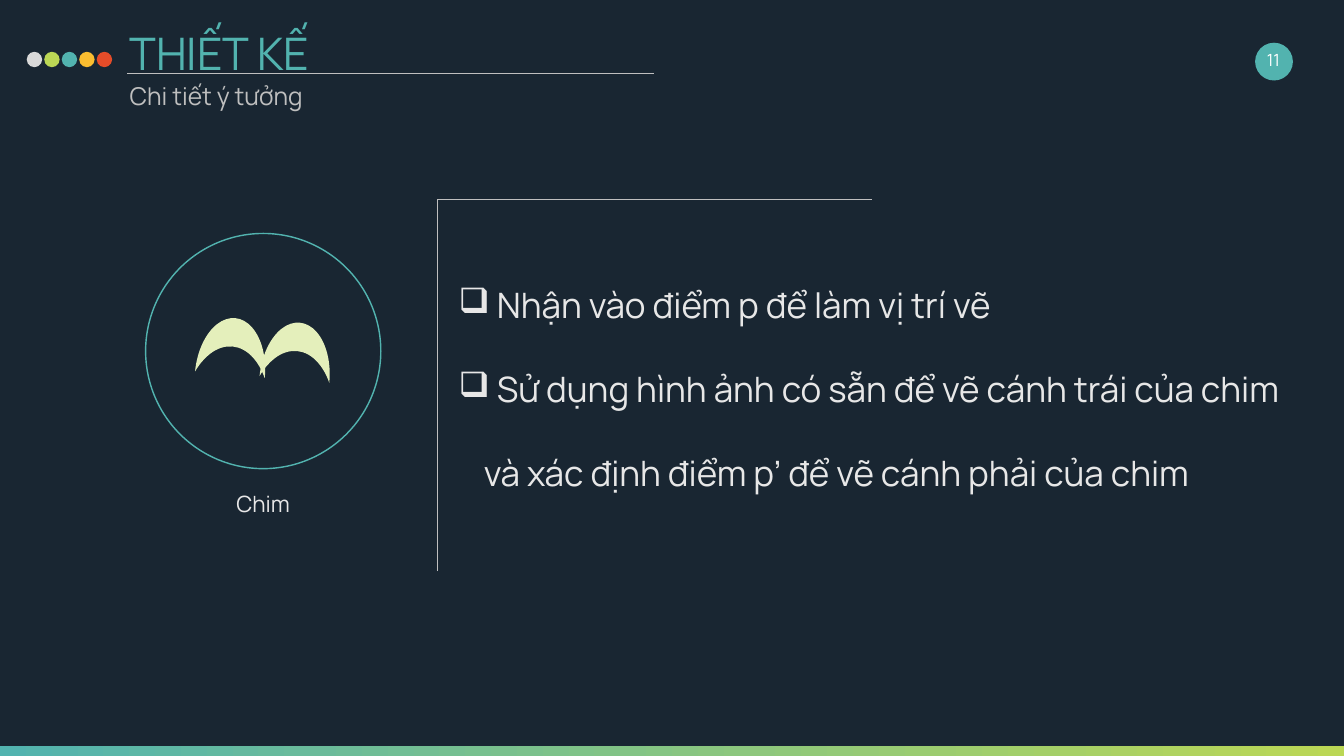
from lxml import etree
from pptx import Presentation
from pptx.dml.color import RGBColor
from pptx.enum.shapes import MSO_CONNECTOR, MSO_SHAPE
from pptx.enum.text import MSO_ANCHOR, PP_ALIGN
from pptx.oxml.ns import qn
from pptx.util import Pt

RECT, OVAL, MOON = MSO_SHAPE.RECTANGLE, MSO_SHAPE.OVAL, MSO_SHAPE.MOON
LINE = MSO_CONNECTOR.STRAIGHT
TOP, MID = MSO_ANCHOR.TOP, MSO_ANCHOR.MIDDLE
LEFT, CENTER = PP_ALIGN.LEFT, PP_ALIGN.CENTER


class Theme:
    font = "Manrope"
    back, teal, lime = "192632", "52B3AF", "BBD755"
    amber, red, pale = "FABD30", "E54C29", "E4EFBB"
    white, light, silver, gray = "FFFFFF", "E7E7E7", "D9D9D9", "BFBFBF"
    title, body, sub, label, page = 64, 50, 35, 32, 24


def add_form(kind, x, y, w, h, fill=None):
    form = slide.shapes.add_shape(kind, Pt(x), Pt(y), Pt(w), Pt(h))
    form.shadow.inherit = False
    form.line.fill.background()
    if fill:
        form.fill.solid()
        form.fill.fore_color.rgb = RGBColor.from_string(fill)
    else:
        form.fill.background()
    return form


def add_text(lines, x, y, w, h, size, color, align=LEFT, anchor=TOP):
    frame = slide.shapes.add_textbox(Pt(x), Pt(y), Pt(w), Pt(h)).text_frame
    setup = {"word_wrap": True, "vertical_anchor": anchor,
             "margin_left": Pt(19.2), "margin_right": Pt(19.2),
             "margin_top": Pt(9.6), "margin_bottom": Pt(9.6)}
    for name, value in setup.items():
        setattr(frame, name, value)
    frame.text = "\n".join(lines)
    for para in frame.paragraphs:
        para.alignment = align
        font = para.runs[0].font
        for name, value in {"name": Theme.font, "size": Pt(size)}.items():
            setattr(font, name, value)
        font.color.rgb = RGBColor.from_string(color)
    return frame


deck = Presentation()
deck.slide_width, deck.slide_height = Pt(1920), Pt(1080)
slide = deck.slides.add_slide(deck.slide_layouts[6])
slide.background.fill.solid()
slide.background.fill.fore_color.rgb = RGBColor.from_string(Theme.back)

# Gradient bar along the bottom
bar = add_form(RECT, 0, 1065, 1920, 15)
bar.fill.gradient()
bar.fill.gradient_angle = 0
for stop, place, color in zip(bar.fill.gradient_stops, (0, 1),
                              (Theme.teal, Theme.lime)):
    stop.position = place
    stop.color.rgb = RGBColor.from_string(color)

# Row of dots
dots = (Theme.silver, Theme.lime, Theme.teal, Theme.amber, Theme.red)
for i, color in enumerate(dots):
    add_form(OVAL, 38.2 + 25 * i, 74, 22, 22, color)

# Heading and page number
add_text(["THIẾT KẾ"], 166, 27, 1530, 115, Theme.title, Theme.teal)
add_text(["Chi tiết ý tưởng"], 166, 106, 1530, 61, Theme.sub, Theme.gray)
add_form(OVAL, 1793, 61, 54, 54, Theme.teal)
add_text(["11"], 1777, 56, 84, 58, Theme.page, Theme.white, CENTER, MID)

# Bulleted steps
steps = add_text(
    [" Nhận vào điểm p để làm vị trí vẽ",
     " Sử dụng hình ảnh có sẵn để vẽ cánh trái của chim"
     " và xác định điểm p’ để vẽ cánh phải của chim"],
    636, 336, 1225, 383, Theme.body, Theme.light)
for para in steps.paragraphs:
    para.line_spacing = 2.0
    props = para._p.get_or_add_pPr()
    props.set("marL", str(Pt(36)))
    props.set("indent", str(Pt(-36)))
    etree.SubElement(props, qn("a:buChar")).set("char", "❑")

# Heading rule and corner frame
for x1, y1, x2, y2 in ((181.5, 104.5, 934.5, 104.5),
                       (624.5, 284, 1246, 284),
                       (624.5, 816, 624.5, 284)):
    rule = slide.shapes.add_connector(LINE, Pt(x1), Pt(y1), Pt(x2), Pt(y2))
    rule.line.color.rgb = RGBColor.from_string(Theme.gray)
    rule.line.width = Pt(0.25)
    etree.SubElement(rule._element.spPr, qn("a:effectLst"))

# Bird in a ring, with its label
ring = add_form(OVAL, 208, 333.5, 336, 336)
ring.line.color.rgb = RGBColor.from_string(Theme.teal)
ring.line.width = Pt(2)
for x, y in ((291.6, 445), (383.8, 451.5)):
    wing = add_form(MOON, x, y, 81.4, 100, Theme.pale)
    wing.rotation = 95.5
add_text(["Chim"], 208, 690, 336, 58, Theme.label, Theme.light, CENTER)

deck.save("out.pptx")
